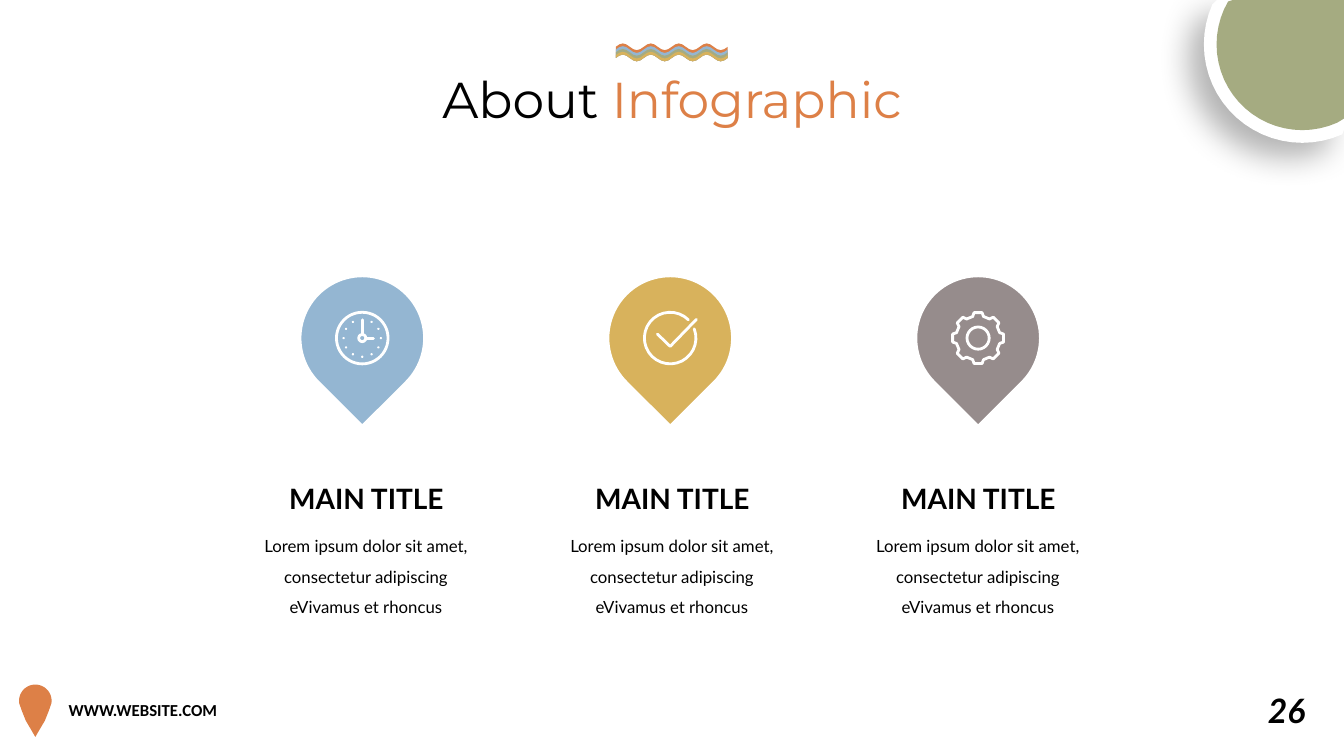
from dataclasses import dataclass
from math import cos, pi, radians, sin
from typing import Callable

from lxml.etree import SubElement
from pptx import Presentation
from pptx.dml.color import RGBColor
from pptx.enum.shapes import MSO_CONNECTOR, MSO_SHAPE
from pptx.enum.text import MSO_AUTO_SIZE, PP_ALIGN
from pptx.oxml.ns import qn
from pptx.util import Cm, Pt

WIDE, HIGH = 33.87, 19.05
WHITE, BLACK, ORANGE = "FFFFFF", "000000", "DD8047"
BLUE, GREEN, GOLD, GREY = "94B6D2", "A5AB81", "D8B25C", "968C8C"
Point = tuple[float, float]

deck = Presentation()
deck.slide_width, deck.slide_height = Cm(WIDE), Cm(HIGH)
slide = deck.slides.add_slide(deck.slide_layouts[6])
shapes = slide.shapes


@dataclass
class Label:
    left: float
    top: float
    width: float
    height: float
    runs: list[tuple[str, str]]
    form: dict
    align: PP_ALIGN = PP_ALIGN.CENTER
    wrap: bool = True
    space: float = 1.0


@dataclass
class Pin:
    color: str
    icon: Callable[[float, float], None]


def rgb(code: str) -> RGBColor:
    return RGBColor.from_string(code)


def paint(shape, color: str) -> None:
    shape.shadow.inherit = False
    shape.fill.solid()
    shape.fill.fore_color.rgb = rgb(color)
    shape.line.fill.background()


def rule(shape) -> None:
    shape.line.width = Pt(2)
    shape.line.color.rgb = rgb(WHITE)
    shape._element.spPr.find(qn("a:ln")).set("cap", "rnd")


def stroke(shape) -> None:
    """Give an unfilled icon part its round white line."""
    shape.shadow.inherit = False
    shape.fill.background()
    rule(shape)


def trace(*rings: list[Point], close: bool = True):
    """Draw one outline made of one or more rings of points."""
    spots = [[(Cm(x), Cm(y)) for x, y in ring] for ring in rings]
    form = shapes.build_freeform(*spots[0][0], scale=1.0)
    form.add_line_segments(spots[0][1:], close=close)
    for ring in spots[1:]:
        form.move_to(*ring[0])
        form.add_line_segments(ring[1:], close=close)
    return form.convert_to_shape()


def polar(x: float, y: float, r: float, angle: float) -> Point:
    return x + r * cos(radians(angle)), y + r * sin(radians(angle))


def arc(x: float, y: float, r: float, start: int, end: int, step: int = 6) -> list[Point]:
    return [polar(x, y, r, a) for a in range(start, end + 1, step)]


def ring(x: float, y: float, r: float) -> None:
    stroke(shapes.add_shape(MSO_SHAPE.OVAL, Cm(x - r), Cm(y - r), Cm(2 * r), Cm(2 * r)))


def hand(x: float, y: float, dx: float, dy: float, end: float) -> None:
    hub = 0.09
    line = shapes.add_connector(MSO_CONNECTOR.STRAIGHT, Cm(x + hub * dx), Cm(y + hub * dy),
                                Cm(x + end * dx), Cm(y + end * dy))
    rule(line)
    SubElement(line._element.spPr, qn("a:effectLst"))


def clock(x: float, y: float) -> None:
    for r in (0.65, 0.09):
        ring(x, y, r)
    hand(x, y, 0, -1, 0.46)
    hand(x, y, 1, 0, 0.28)
    dots = [arc(*polar(x, y, 0.47, hour * 30 - 90), 0.03, 0, 300, 60) for hour in range(1, 12)]
    paint(trace(*dots), WHITE)


def check(x: float, y: float) -> None:
    stroke(trace(arc(x, y, 0.65, -21, 315, 12), close=False))
    tick = [(-0.32, -0.1), (0, 0.21), (0.66, -0.47)]
    stroke(trace([(x + dx, y + dy) for dx, dy in tick], close=False))


def gear(x: float, y: float) -> None:
    tooth = [(0.56, -14), (0.65, -9), (0.65, 9), (0.56, 14)]
    stroke(trace([polar(x, y, r, mid + a) for mid in range(0, 360, 45) for r, a in tooth]))
    ring(x, y, 0.28)


def corner(r: float, color: str):
    """Draw a round badge cut off by the slide's edges."""
    curve = [(min(x, WIDE), max(y, 0)) for x, y in arc(32.82, 1.12, r, 60, 216)]
    shape = trace(curve + [(WIDE, 0)])
    paint(shape, color)
    return shape


def shade(shape) -> None:
    effect = shape._element.spPr.find(qn("a:effectLst"))
    outer = SubElement(effect, qn("a:outerShdw"), blurRad=str(Pt(23)),
                       dist=str(Pt(15)), dir=str(135 * 60000), rotWithShape="0")
    tint = SubElement(outer, qn("a:srgbClr"), val=BLACK)
    SubElement(tint, qn("a:alpha"), val="29000")


def wave(top: float, color: str) -> None:
    def edge(base: float) -> list[Point]:
        return [(15.52 + 2.82 * i / 32, base - 0.085 * sin(pi * i / 4)) for i in range(33)]

    paint(trace(edge(top) + edge(1.46)[::-1]), color)


def marker(x: float, top: float) -> None:
    side = [(0.34, 0.66), (0.24, 0.91), (0.11, 1.13)]
    right = [(x + dx, top + dy) for dx, dy in side]
    left = [(x - dx, top + dy) for dx, dy in side[::-1]]
    head = arc(x, top + 0.41, 0.41, -189, 9)
    paint(trace(head + right + [(x, top + 1.32)] + left), ORANGE)


def write(label: Label) -> None:
    box = shapes.add_textbox(Cm(label.left), Cm(label.top), Cm(label.width), Cm(label.height))
    frame = box.text_frame
    frame.word_wrap = label.wrap
    frame.auto_size = MSO_AUTO_SIZE.SHAPE_TO_FIT_TEXT
    para = frame.paragraphs[0]
    para.alignment, para.line_spacing = label.align, label.space
    for text, color in label.runs:
        run = para.add_run()
        run.text = text
        run.font.color.rgb = rgb(color)
        for key, value in label.form.items():
            setattr(run.font, key, value)


def main() -> None:
    write(Label(31.7, 17.25, 1.5, 1.27, [("26", BLACK)],
                dict(name="Lato", size=Pt(24), bold=True, italic=True),
                PP_ALIGN.LEFT, wrap=False))
    marker(0.89, 17.25)
    write(Label(1.48, 17.52, 6.42, 0.77, [("WWW.WEBSITE.COM", BLACK)],
                dict(name="Calibri", size=Pt(12), bold=True), PP_ALIGN.LEFT))

    shade(corner(2.48, WHITE))
    corner(2.16, GREEN)

    write(Label(10.42, 1.58, 13.03, 1.8, [("About ", BLACK), ("Infographic", ORANGE)],
                dict(name="Montserrat", size=Pt(36)), wrap=False))
    for i, color in enumerate((ORANGE, BLUE, GREEN, GOLD)):
        wave(1.18 + 0.07 * i, color)

    words = "Lorem ipsum dolor sit amet, consectetur adipiscing eVivamus et rhoncus"
    for i, pin in enumerate((Pin(BLUE, clock), Pin(GOLD, check), Pin(GREY, gear))):
        x = 9.23 + 7.71 * i
        write(Label(x - 2.8, 12.01, 5.61, 1.12, [("MAIN TITLE", BLACK)],
                    dict(name="Lato", size=Pt(20), bold=True)))
        write(Label(x - 3.13, 13.13, 6.25, 2.57, [(words, BLACK)],
                    dict(name="Lato", size=Pt(12)), space=1.5))
        x, y, size = 9.13 + 7.76 * i, 8.52, 3.28
        drop = shapes.add_shape(MSO_SHAPE.TEAR, Cm(x - size / 2), Cm(y - size / 2),
                                Cm(size), Cm(size))
        paint(drop, pin.color)
        drop.rotation = 135
        drop.line.width = Pt(6)
        drop.line.color.rgb = rgb(WHITE)
        pin.icon(x, y)

    deck.save("out.pptx")


if __name__ == "__main__":
    main()
